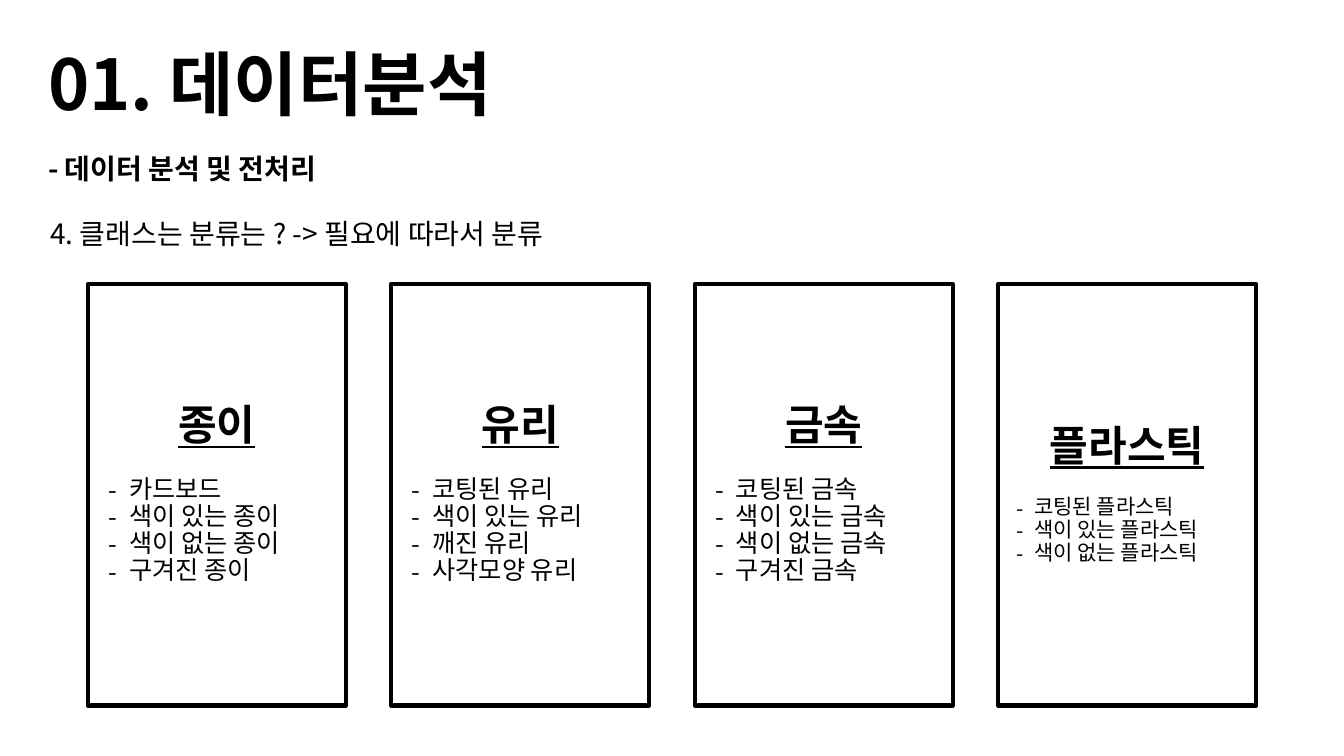
from dataclasses import dataclass

from lxml.etree import SubElement
from pptx import Presentation
from pptx.dml.color import RGBColor
from pptx.enum.shapes import MSO_SHAPE
from pptx.enum.text import MSO_ANCHOR, PP_ALIGN
from pptx.oxml.ns import qn
from pptx.slide import Slide
from pptx.text.text import TextFrame
from pptx.util import Inches, Pt


@dataclass(frozen=True)
class Theme:
    font: str = "Noto Sans CJK KR"
    ink: RGBColor = RGBColor(0, 0, 0)
    title: int = 50
    body: int = 20
    head: int = 30
    item: int = 18
    small: int = 15
    border: int = 3
    gap: int = 19
    leading: float = 0.9


THEME = Theme()


@dataclass(frozen=True)
class Card:
    head: str
    items: tuple[str, ...]
    size: int = THEME.item


@dataclass(frozen=True)
class Line:
    text: str
    left: float
    top: float
    width: float
    height: float
    size: int
    bold: bool = False
    anchor: MSO_ANCHOR = MSO_ANCHOR.MIDDLE


LINES = (
    Line("01. 데이터분석", 0.38, 0.3, 12.55, 1.14, THEME.title, bold=True),
    Line("- 데이터 분석 및 전처리", 0.38, 1.45, 12.55, 0.49, THEME.body, bold=True),
    Line("4. 클래스는 분류는 ? -> 필요에 따라서 분류", 0.4, 2.14, 12.53, 0.49,
         THEME.body, anchor=MSO_ANCHOR.TOP),
)
CARDS = (
    Card("종이", ("카드보드", "색이 있는 종이", "색이 없는 종이", "구겨진 종이")),
    Card("유리", ("코팅된 유리", "색이 있는 유리", "깨진 유리", "사각모양 유리")),
    Card("금속", ("코팅된 금속", "색이 있는 금속", "색이 없는 금속", "구겨진 금속")),
    Card("플라스틱", ("코팅된 플라스틱", "색이 있는 플라스틱", "색이 없는 플라스틱"),
         THEME.small),
)
LEFT, TOP, WIDTH, HEIGHT, PITCH = 0.87, 2.82, 2.56, 4.18, 3.01


def write(frame: TextFrame, text: str, *, size: int, bold: bool = False,
          line: bool = False, align: PP_ALIGN = PP_ALIGN.LEFT,
          before: int = 0, dash: bool = False) -> None:
    """Fill the empty first paragraph, or add one after the last."""
    para = frame.paragraphs[0]
    if para.runs:
        para = frame.add_paragraph()
    para.alignment = align
    para.line_spacing = THEME.leading
    para.space_before = Pt(before)
    if dash:
        props = para._p.get_or_add_pPr()
        props.set("marL", str(Inches(size * 0.0173)))
        props.set("indent", str(-Inches(size * 0.0115)))
        SubElement(props, qn("a:buFont"), typeface=THEME.font)
        SubElement(props, qn("a:buChar"), char="-")
    run = para.add_run()
    run.text = text
    font = run.font
    font.name, font.size = THEME.font, Pt(size)
    font.bold, font.underline = bold, line
    font.color.rgb = THEME.ink
    SubElement(run._r.get_or_add_rPr(), qn("a:ea"), typeface=THEME.font)


def add_line(slide: Slide, line: Line) -> None:
    box = slide.shapes.add_textbox(Inches(line.left), Inches(line.top),
                                   Inches(line.width), Inches(line.height))
    frame = box.text_frame
    frame.word_wrap = True
    frame.vertical_anchor = line.anchor
    write(frame, line.text, size=line.size, bold=line.bold)


def add_card(slide: Slide, card: Card, left: float) -> None:
    box = slide.shapes.add_shape(MSO_SHAPE.RECTANGLE, Inches(left), Inches(TOP),
                                 Inches(WIDTH), Inches(HEIGHT))
    box.shadow.inherit = False
    box.fill.background()
    box.line.color.rgb = THEME.ink
    box.line.width = Pt(THEME.border)
    frame = box.text_frame
    frame.word_wrap = True
    frame.vertical_anchor = MSO_ANCHOR.MIDDLE
    write(frame, card.head, size=THEME.head, bold=True, line=True,
          align=PP_ALIGN.CENTER)
    for i, item in enumerate(card.items):
        write(frame, item, size=card.size, dash=True,
              before=0 if i else THEME.gap)


def main() -> None:
    deck = Presentation()
    deck.slide_width, deck.slide_height = Inches(13.33), Inches(7.5)
    slide = deck.slides.add_slide(deck.slide_layouts[6])
    for line in LINES:
        add_line(slide, line)
    for i, card in enumerate(CARDS):
        add_card(slide, card, LEFT + i * PITCH)
    deck.save("out.pptx")


if __name__ == "__main__":
    main()
